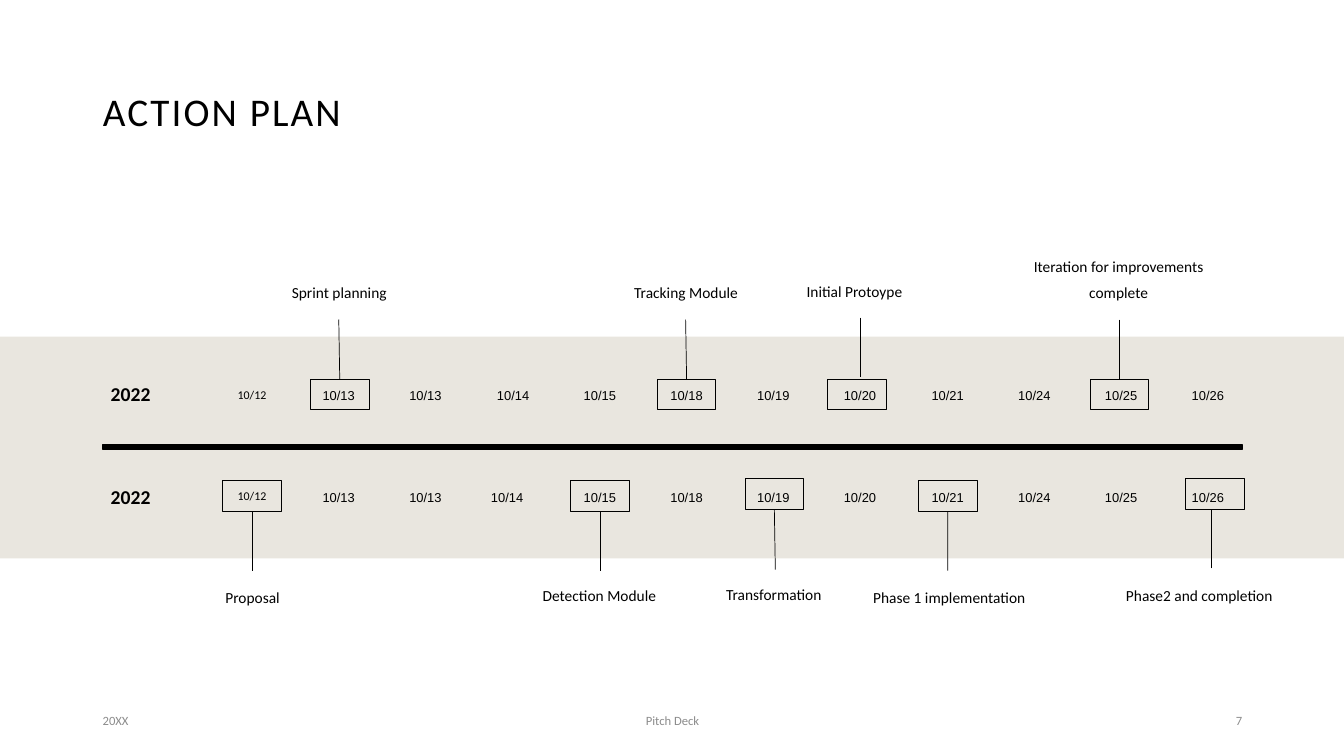
import dataclasses

import pptx
import pptx.dml.color
import pptx.enum.shapes
import pptx.enum.text
import pptx.oxml
import pptx.oxml.ns
import pptx.util

ALIGN = pptx.enum.text.PP_ALIGN
ANCHOR = pptx.enum.text.MSO_ANCHOR
RECTANGLE = pptx.enum.shapes.MSO_SHAPE.RECTANGLE
BLACK, GRAY, BAND = "000000", "8C8C8C", "E9E6DF"

# Timeline grid, in inches
SLIDE_WIDTH, SLIDE_HEIGHT = 13.33, 7.5
MARGIN = 0.92
CONTENT_WIDTH = SLIDE_WIDTH - 2 * MARGIN + 0.01
FIRST_COLUMN, COLUMN_STEP = 2.5, 0.862
DATE_WIDTH, DATE_HEIGHT = 0.7, 0.22
BOX_WIDTH, BOX_HEIGHT = 0.58, 0.3
LINE_LENGTH, LABEL_HEIGHT = 0.59, 0.61
DATES = ["10/12", "10/13", "10/13", "10/14", "10/15", "10/18",
         "10/19", "10/20", "10/21", "10/24", "10/25", "10/26"]


@dataclasses.dataclass
class Milestone:
    """A marked date; shifts go right and lifts go up from its grid place."""
    column: int
    label: str
    box_shift: float = 0
    line_shift: float = 0
    label_shift: float = 0
    box_lift: float = 0
    line_lift: float = 0
    label_lift: float = 0
    label_width: float = 2.25
    line_spacing: float = 1.5


@dataclasses.dataclass
class Row:
    year_top: float
    date_top: float
    box_top: float
    label_top: float
    above: bool
    milestones: list
    date_shifts: dict


ROWS = [
    Row(3.67, 3.83, 3.76, 2.43, True, [
        Milestone(1, "Sprint planning", box_shift=0.01),
        Milestone(5, "Tracking Module", line_shift=-0.01),
        Milestone(7, "Initial Protoype", box_shift=-0.03, label_shift=-0.06,
                  line_lift=0.02, label_lift=0.01),
        Milestone(10, "Iteration for improvements complete", box_shift=-0.02,
                  line_shift=-0.02, label_shift=-0.02, line_spacing=1.4),
    ], {}),
    Row(4.69, 4.84, 4.77, 5.69, False, [
        Milestone(0, "Proposal"),
        Milestone(4, "Detection Module", label_lift=0.02, label_width=1.99),
        Milestone(6, "Transformation", box_shift=0.01, line_shift=0.02, box_lift=0.02,
                  line_lift=0.01, label_lift=0.03, label_width=1.99),
        Milestone(8, "Phase 1 implementation", label_shift=0.02),
        Milestone(11, "Phase2 and completion", box_shift=0.07, line_shift=0.03,
                  label_shift=-0.09, box_lift=0.02, line_lift=0.02, label_lift=0.02),
    ], {3: -0.06}),
]


def color(value):
    return pptx.dml.color.RGBColor.from_string(value)


def inches(*lengths):
    return [pptx.util.Inches(round(length, 2)) for length in lengths]


def column_center(column):
    return FIRST_COLUMN + column * COLUMN_STEP


def write(shape, text, size, align=ALIGN.LEFT, anchor=ANCHOR.TOP, font="Calibri",
          ink=BLACK, bold=False, spacing=None, before=0):
    frame = shape.text_frame
    frame.word_wrap = True
    frame.auto_size = pptx.enum.text.MSO_AUTO_SIZE.NONE
    frame.vertical_anchor = anchor
    frame.text = text
    paragraph = frame.paragraphs[0]
    paragraph.alignment = align
    paragraph.line_spacing = spacing
    paragraph.space_before = pptx.util.Pt(before)
    paragraph.font.name = font
    paragraph.font.size = pptx.util.Pt(size)
    paragraph.font.bold = bold
    paragraph.font.color.rgb = color(ink)
    return paragraph


def add_text(slide, left, top, width, height, text, size, **style):
    shape = slide.shapes.add_textbox(*inches(left, top, width, height))
    write(shape, text, size, **style)


def add_rectangle(slide, left, top, width, height, fill=None, line_width=None):
    shape = slide.shapes.add_shape(RECTANGLE, *inches(left, top, width, height))
    shape.shadow.inherit = False
    if fill:
        shape.fill.solid()
        shape.fill.fore_color.rgb = color(fill)
    else:
        shape.fill.background()
    if line_width:
        shape.line.color.rgb = color(BLACK)
        shape.line.width = pptx.util.Pt(line_width)
    else:
        shape.line.fill.background()
    return shape


def add_line(slide, x, top, bottom):
    line = slide.shapes.add_connector(pptx.enum.shapes.MSO_CONNECTOR.STRAIGHT,
                                      *inches(x, top, x, bottom))
    line.line.color.rgb = color(BLACK)
    line.line.width = pptx.util.Pt(0.5)
    properties = line._element.spPr
    properties.append(pptx.oxml.parse_xml(
        "<a:effectLst %s/>" % pptx.oxml.ns.nsdecls("a")))
    return line


def add_title(slide, text):
    title = slide.shapes.title
    title.left, title.top, title.width, title.height = inches(MARGIN, 0.4, CONTENT_WIDTH, 1.45)
    paragraph = write(title, text, 28, anchor=ANCHOR.MIDDLE, spacing=0.9)
    paragraph.runs[0]._r.get_or_add_rPr().set("spc", "150")


def add_dates(slide, row):
    add_text(slide, 1, row.year_top, 0.8, 0.5, "2022", 14, anchor=ANCHOR.MIDDLE,
             bold=True, spacing=0.9, before=10)
    for column, date in enumerate(DATES):
        left = column_center(column) - DATE_WIDTH / 2 + row.date_shifts.get(column, 0)
        size, font, spacing = (9.2, "Arial", 0.8) if column else (8.5, "Calibri", 0.7)
        add_text(slide, left, row.date_top, DATE_WIDTH, DATE_HEIGHT, date, size,
                 align=ALIGN.CENTER, font=font, spacing=spacing, before=10)


def add_milestone(slide, row, milestone):
    center = column_center(milestone.column)
    box = add_rectangle(slide, center + milestone.box_shift - BOX_WIDTH / 2,
                        row.box_top - milestone.box_lift, BOX_WIDTH, BOX_HEIGHT,
                        line_width=0.5)

    # Line from the box towards the label
    edge = row.box_top - milestone.line_lift + (0 if row.above else BOX_HEIGHT)
    far_end = edge - LINE_LENGTH if row.above else edge + LINE_LENGTH
    line = add_line(slide, center + milestone.line_shift, far_end, edge)
    if abs(milestone.box_shift - milestone.line_shift) < 0.02:
        line.end_connect(box, 0 if row.above else 2)

    add_text(slide, center + milestone.label_shift - milestone.label_width / 2,
             row.label_top - milestone.label_lift, milestone.label_width, LABEL_HEIGHT,
             milestone.label, 11, align=ALIGN.CENTER,
             anchor=ANCHOR.BOTTOM if row.above else ANCHOR.TOP,
             spacing=milestone.line_spacing, before=10)


def add_footer(slide):
    for left, width, text, align in [(MARGIN, 3, "20XX", ALIGN.LEFT),
                                     (4.42, 4.5, "Pitch Deck", ALIGN.CENTER),
                                     (9.42, 3, "7", ALIGN.RIGHT)]:
        add_text(slide, left, 6.95, width, 0.4, text, 9, align=align,
                 anchor=ANCHOR.MIDDLE, ink=GRAY)


def main():
    presentation = pptx.Presentation()
    presentation.slide_width, presentation.slide_height = inches(SLIDE_WIDTH, SLIDE_HEIGHT)
    slide = presentation.slides.add_slide(presentation.slide_layouts[5])

    # Band and central bar
    add_rectangle(slide, 0, 3.34, SLIDE_WIDTH, 2.2, fill=BAND)
    add_rectangle(slide, 1.02, 4.41, 11.3, 0.05, fill=BLACK, line_width=1)

    # Title, timeline rows and footer
    add_title(slide, "ACTION PLAN")
    for row in ROWS:
        add_dates(slide, row)
        for milestone in row.milestones:
            add_milestone(slide, row, milestone)
    add_footer(slide)

    presentation.save("out.pptx")


if __name__ == "__main__":
    main()
